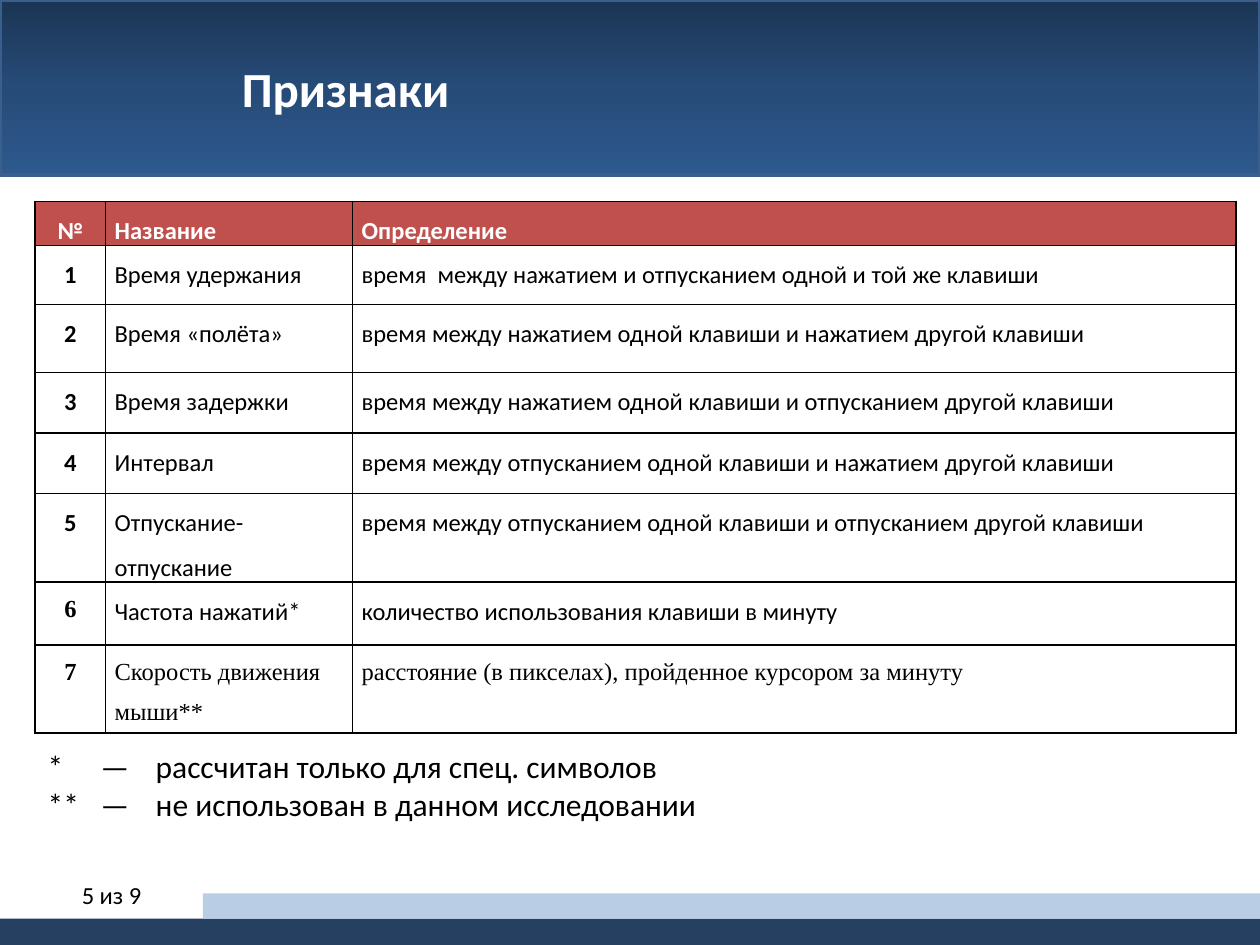
from copy import deepcopy

from lxml.etree import SubElement
from pptx import Presentation
from pptx.dml.color import RGBColor
from pptx.enum.shapes import MSO_SHAPE as Shape
from pptx.enum.text import MSO_ANCHOR as Anchor, PP_ALIGN as Align
from pptx.oxml.ns import qn
from pptx.util import Cm, Pt

HUES = {
    "white": "FFFFFF", "black": "000000", "navy": "254061", "pale": "B9CDE5",
    "head": "C0504D", "edge": "3A5F8C",
    "top": "1B3554", "mid": "274B78", "low": "2E598E",
}
RGB = {name: RGBColor.from_string(hue) for name, hue in HUES.items()}
SANS, SERIF = "Calibri", "Times New Roman"


def style(para, size, hue="black", bold=False, face=SANS, align=Align.LEFT):
    para.alignment = align
    font = para.font
    font.name, font.size, font.bold = face, Pt(size), bold
    font.color.rgb = RGB[hue]


def add_bar(left, top, width, height, hue):
    bar = slide.shapes.add_shape(
        Shape.RECTANGLE, Cm(left), Cm(top), Cm(width), Cm(height))
    bar.shadow.inherit = False
    bar.fill.solid()
    bar.fill.fore_color.rgb = RGB[hue]
    bar.line.fill.background()
    return bar


prs = Presentation()
prs.slide_width, prs.slide_height = Cm(25.4), Cm(19.05)
slide = prs.slides.add_slide(prs.slide_layouts[5])

# Banner
banner = add_bar(0, 0, 25.4, 3.53, "top")
banner.fill.gradient()
banner.fill.gradient_angle = 270
stops = banner.fill.gradient_stops
first = stops[0]._gs
first.addnext(deepcopy(first))
for stop, (place, hue) in zip(banner.fill.gradient_stops,
                              [(0, "top"), (0.5, "mid"), (1, "low")]):
    stop.position = place
    stop.color.rgb = RGB[hue]
banner.line.color.rgb = RGB["edge"]
banner.line.width = Pt(2)

# Title, brought in front of the banner
title = slide.shapes.title
title.left, title.top, title.width, title.height = (
    Cm(4.62), Cm(1.04), Cm(19.3), Cm(1.45))
title.text_frame.text = "Признаки"
title.text_frame.vertical_anchor = Anchor.MIDDLE
style(title.text_frame.paragraphs[0], 28, "white", True)
banner._element.addnext(title._element)

# Footer
add_bar(0, 18.52, 25.4, 0.53, "navy")
page = slide.shapes.add_textbox(Cm(-0.71), Cm(17.53), Cm(5.92), Cm(1.02))
page.text_frame.word_wrap = True
page.text_frame.vertical_anchor = Anchor.MIDDLE
page.text_frame.text = "5 из 9"
style(page.text_frame.paragraphs[0], 14, align=Align.CENTER)
add_bar(4.09, 18.01, 21.31, 0.51, "pale")

# Table of features
rows = [
    ("№", "Название", "Определение"),
    ("1", "Время удержания",
     "время  между нажатием и отпусканием одной и той же клавиши"),
    ("2", "Время «полёта»",
     "время между нажатием одной клавиши и нажатием другой клавиши"),
    ("3", "Время задержки",
     "время между нажатием одной клавиши и отпусканием другой клавиши"),
    ("4", "Интервал",
     "время между отпусканием одной клавиши и нажатием другой клавиши"),
    ("5", "Отпускание-отпускание",
     "время между отпусканием одной клавиши и отпусканием другой клавиши"),
    ("6", "Частота нажатий*", "количество использования клавиши в минуту"),
    ("7", "Скорость движения мыши**",
     "расстояние (в пикселах), пройденное курсором за минуту"),
]
widths = [1.42, 4.98, 17.81]
heights = [0.74, 1.19, 1.37, 1.22, 1.22, 1.57, 1.27, 1.57]
table = slide.shapes.add_table(
    len(rows), len(widths), Cm(0.71), Cm(4.06),
    Cm(sum(widths)), Cm(sum(heights))).table
for col, width in zip(table.columns, widths):
    col.width = Cm(width)
for row, height in zip(table.rows, heights):
    row.height = Cm(height)

for r, texts in enumerate(rows):
    for c, text in enumerate(texts):
        cell = table.cell(r, c)
        cell.text = text
        cell.margin_left = cell.margin_right = Cm(0.18)
        cell.margin_top = cell.margin_bottom = 0
        cell.vertical_anchor = Anchor.TOP if r else Anchor.MIDDLE
        para = cell.text_frame.paragraphs[0]
        para.line_spacing = 1.5
        style(para, 14, "black" if r else "white", r == 0 or c == 0,
              SERIF if r == 7 or (r, c) == (6, 0) else SANS,
              Align.LEFT if c else Align.CENTER)
        props = cell._tc.get_or_add_tcPr()
        for side in ("lnL", "lnR", "lnT", "lnB"):
            line = SubElement(props, qn(f"a:{side}"), w=str(Pt(1)))
            paint = SubElement(line, qn("a:solidFill"))
            SubElement(paint, qn("a:srgbClr"), val=HUES["black"])
        cell.fill.solid()
        cell.fill.fore_color.rgb = RGB["white" if r else "head"]

# Footnotes, aligned on two tab stops
notes = slide.shapes.add_textbox(Cm(0.71), Cm(14.94), Cm(17.81), Cm(1.8))
notes.text_frame.word_wrap = True
notes.text_frame.text = ("*\t—\tрассчитан только для спец. символов\n"
                         "**\t—\tне использован в данном исследовании")
for para in notes.text_frame.paragraphs:
    style(para, 18)
    props = para._p.get_or_add_pPr()
    tabs = SubElement(props, qn("a:tabLst"))
    props.find(qn("a:defRPr")).addprevious(tabs)
    for place in (1.07, 2.18):
        SubElement(tabs, qn("a:tab"), pos=str(Cm(place)), algn="l")

prs.save("out.pptx")
